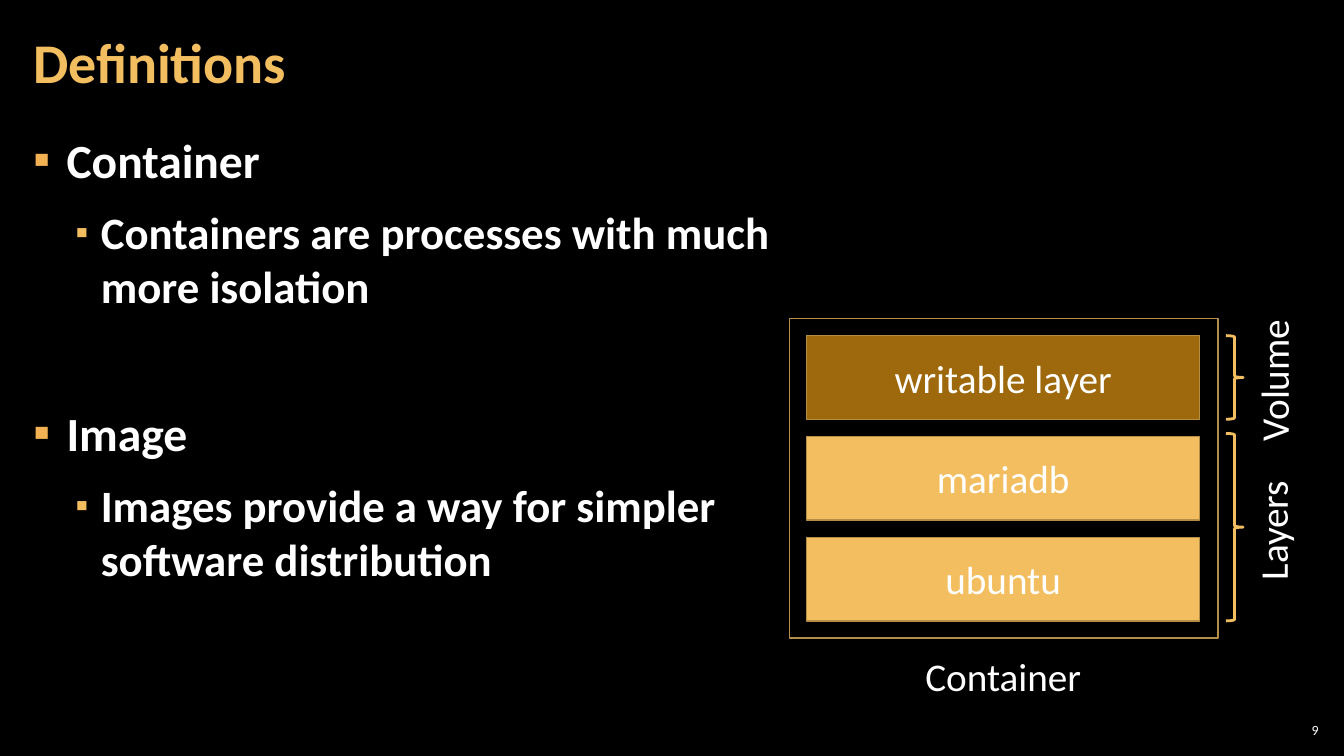
from lxml import etree
from pptx import Presentation
from pptx.dml.color import RGBColor
from pptx.enum import shapes, text
from pptx.oxml.ns import qn
from pptx.util import Inches, Pt

GOLD, BROWN, EDGE, WHITE = "F3BE60", "9E690C", "B48D47", "FFFFFF"
LAYER_X, LAYER_Y, LAYER_W, LAYER_H = 8, 3.33, 3.9, 0.83
PITCH, MARGIN = 1, 0.17


def color(value):
    return RGBColor.from_string(value)


def add_run(p, words, size, tint=WHITE, bold=False):
    r = p.add_run()
    r.text = words
    r.font.name = "Calibri"
    r.font.size = Pt(size)
    r.font.bold = bold
    r.font.color.rgb = color(tint)


prs = Presentation()
prs.slide_width, prs.slide_height = Inches(13.33), Inches(7.5)
s = prs.slides.add_slide(prs.slide_layouts[1])
s.background.fill.solid()
s.background.fill.fore_color.rgb = color("000000")

# Title and list
title, body = s.shapes.title, s.placeholders[1]
for sp, box, anchor in (
    (title, (0.21, 0.04, 10.47, 1.21), text.MSO_ANCHOR.MIDDLE),
    (body, (0.21, 1.26, 8.37, 6.09), text.MSO_ANCHOR.TOP),
):
    sp.left, sp.top, sp.width, sp.height = map(Inches, box)
    tf = sp.text_frame
    tf.word_wrap = True
    tf.auto_size = text.MSO_AUTO_SIZE.NONE
    tf.vertical_anchor = anchor
    tf.margin_left = tf.margin_right = Inches(0.12)
    tf.margin_top = tf.margin_bottom = Inches(0.04)

p = title.text_frame.paragraphs[0]
p.alignment = text.PP_ALIGN.LEFT
p.line_spacing = 0.9
add_run(p, "Definitions", 40, GOLD, True)

# Per level: left edge, hanging indent, bullet colour, bullet size, text size
levels = [(0.33, 0.33, "F2B254", 100, 34), (0.67, 0.25, GOLD, 80, 32)]
items = [
    (0, 0, "Container"),
    (1, 6, "Containers are processes with much more isolation"),
    (0, 59.5, "Image"),
    (1, 6, "Images provide a way for simpler software distribution"),
]
tf = body.text_frame
for i, (level, before, words) in enumerate(items):
    left, hang, tint, share, size = levels[level]
    p = tf.add_paragraph() if i else tf.paragraphs[0]
    p.level = level
    p.space_before, p.space_after = Pt(before), Pt(6)
    pPr = p._p.get_or_add_pPr()
    pPr.set("marL", str(Inches(left)))
    pPr.set("indent", str(-Inches(hang)))
    bullet_color = etree.SubElement(pPr, qn("a:buClr"))
    etree.SubElement(bullet_color, qn("a:srgbClr"), val=tint)
    etree.SubElement(pPr, qn("a:buSzPct"), val=str(share * 1000))
    etree.SubElement(pPr, qn("a:buFont"), typeface="Calibri")
    etree.SubElement(pPr, qn("a:buChar"), char="▪")
    add_run(p, words, size, bold=True)

# Container frame, stacked layers and braces
RECT, BRACE = shapes.MSO_SHAPE.RECTANGLE, shapes.MSO_SHAPE.RIGHT_BRACE
stack = [("writable layer", BROWN), ("mariadb", GOLD), ("ubuntu", GOLD)]
parts = [
    (RECT, (LAYER_X, LAYER_Y + i * PITCH, LAYER_W, LAYER_H), fill, EDGE, 1, name)
    for i, (name, fill) in enumerate(stack)
]
parts += [
    (RECT, (LAYER_X - MARGIN, LAYER_Y - MARGIN, 4.25, 3.17), None, EDGE, 1, ""),
    (BRACE, (12.16, LAYER_Y, 0.17, LAYER_H), None, GOLD, 2, ""),
    (BRACE, (12.16, 4.3, 0.17, 1.86), None, GOLD, 2, ""),
]
for kind, box, fill, edge, weight, name in parts:
    sp = s.shapes.add_shape(kind, *map(Inches, box))
    sp.shadow.inherit = False
    if fill:
        sp.fill.solid()
        sp.fill.fore_color.rgb = color(fill)
    else:
        sp.fill.background()
    sp.line.color.rgb = color(edge)
    sp.line.width = Pt(weight)
    if name:
        sp.text_frame.vertical_anchor = text.MSO_ANCHOR.MIDDLE
        p = sp.text_frame.paragraphs[0]
        p.alignment = text.PP_ALIGN.CENTER
        add_run(p, name, 28)

# Labels
for words, box, turn in (
    ("Container", (9.08, 6.42, 1.76, 0.57), 0),
    ("Layers", (12, 4.94, 1.25, 0.58), 270),
    ("Volume", (11.9, 3.46, 1.46, 0.57), 270),
):
    sp = s.shapes.add_textbox(*map(Inches, box))
    sp.rotation = turn
    sp.text_frame.word_wrap = turn != 0
    sp.text_frame.auto_size = text.MSO_AUTO_SIZE.SHAPE_TO_FIT_TEXT
    add_run(sp.text_frame.paragraphs[0], words, 28)

# Slide number
sp = s.shapes.add_textbox(*map(Inches, (12.65, 7.14, 0.47, 0.21)))
tf = sp.text_frame
tf.word_wrap = True
tf.vertical_anchor = text.MSO_ANCHOR.MIDDLE
tf.margin_left = tf.margin_right = tf.margin_top = tf.margin_bottom = Inches(0.04)
p = tf.paragraphs[0]
p.alignment = text.PP_ALIGN.RIGHT
add_run(p, "9", 10)

prs.save("out.pptx")
